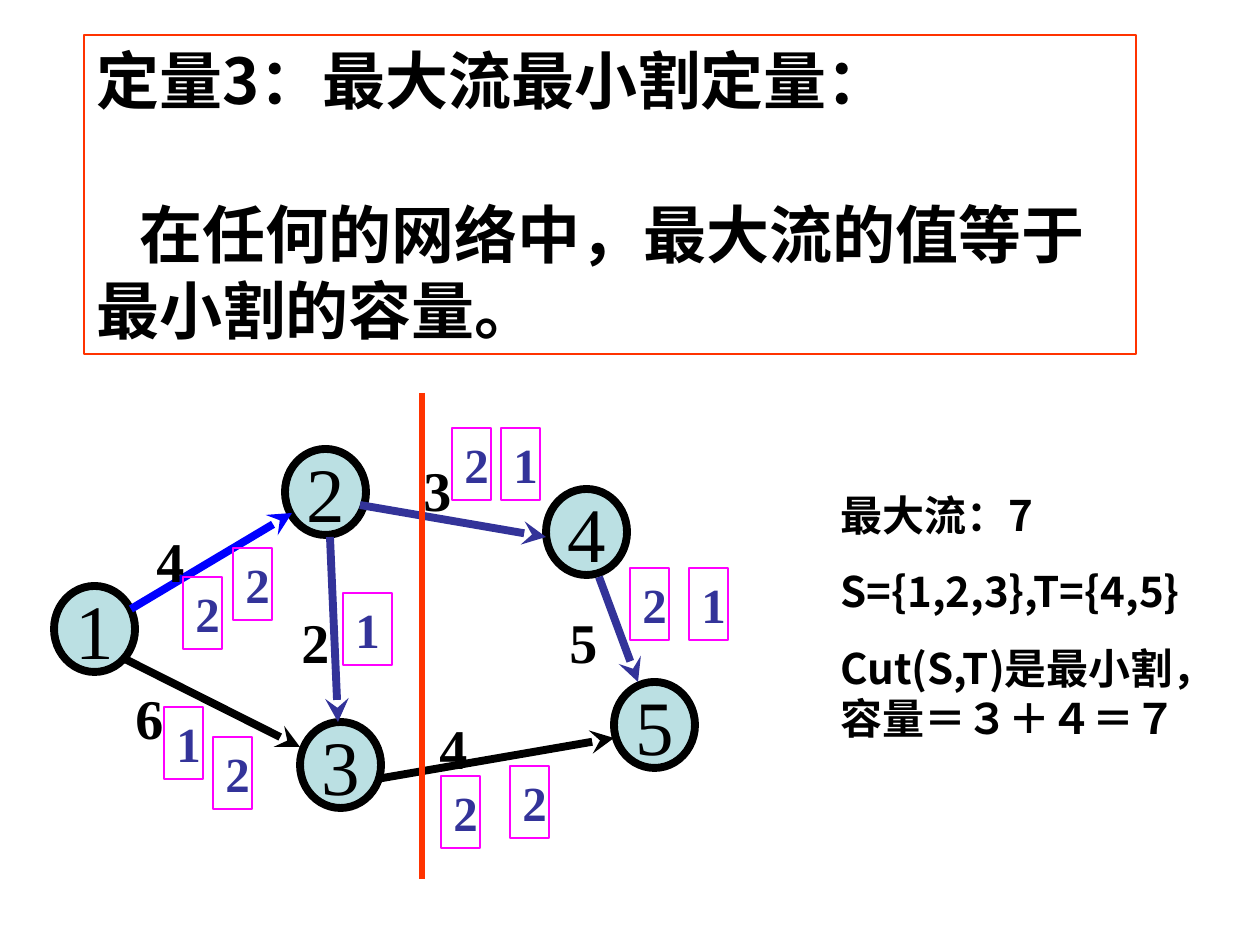
from dataclasses import dataclass
from typing import NamedTuple

from lxml import etree
from pptx import Presentation
from pptx import util as u
from pptx.dml import color
from pptx.enum import shapes, text
from pptx.oxml import ns

EMU_PER_PX = 914400 / 126


@dataclass(frozen=True)
class Theme:
    black: str = "000000"
    blue: str = "0000FF"
    indigo: str = "333399"
    magenta: str = "FF00FF"
    red: str = "FF3300"
    node_fill: str = "BBE0E3"
    serif: str = "Times New Roman"
    sans: str = "Noto Sans CJK SC"
    title_size: int = 36
    node_size: int = 44
    weight_size: int = 32
    flow_size: int = 28
    note_size: int = 24
    thin: float = 0.75
    cut: float = 3
    thick: float = 4.5


THEME = Theme()


class Style(NamedTuple):
    font: str
    size: int
    color: str
    bold: bool = True
    before: float = 0


class Box(NamedTuple):
    left: int
    top: int
    width: int
    height: int


class Label(NamedTuple):
    words: str
    left: int
    top: int
    width: int


class Node(NamedTuple):
    name: str
    left: int
    top: int


class Edge(NamedTuple):
    start: tuple[int, int]
    end: tuple[int, int]
    color: str


TITLE_STYLE = Style(THEME.sans, THEME.title_size, THEME.black, before=45)
NOTE_STYLE = Style(THEME.sans, THEME.note_size, THEME.black, before=15)
NODE_STYLE = Style(THEME.serif, THEME.node_size, THEME.black, bold=False)
WEIGHT_STYLE = Style(THEME.serif, THEME.weight_size, THEME.black, before=20)
FLOW_STYLE = Style(THEME.serif, THEME.flow_size, THEME.indigo, before=17.5)

NODE_WIDTH, NODE_HEIGHT = 81, 86
WEIGHT_WIDTH, WEIGHT_HEIGHT = 46, 81
FLOW_WIDTH, FLOW_HEIGHT = 39, 72
TITLE_INDENT = 43

TITLE_BOX = Box(84, 35, 1052, 319)
TITLE = ["定量3：最大流最小割定量：", "在任何的网络中，最大流的值等于最小割的容量。"]
NOTE_BOX = Box(828, 483, 422, 267)
NOTES = ["最大流：7", "S={1,2,3},T={4,5}", "Cut(S,T)是最小割，容量＝３＋４＝７"]

NODES = [
    Node("1", 54, 586),
    Node("2", 285, 449),
    Node("4", 546, 489),
    Node("3", 300, 722),
    Node("5", 614, 682),
]
BACK_EDGE = Edge((377, 779), (614, 738), THEME.black)
FRONT_EDGES = [
    Edge((131, 609), (292, 513), THEME.blue),
    Edge((123, 658), (300, 747), THEME.black),
    Edge((360, 505), (546, 537), THEME.indigo),
    Edge((599, 577), (638, 682), THEME.indigo),
    Edge((330, 537), (338, 722), THEME.indigo),
]
CUT = Edge((422, 393), (422, 879), THEME.red)

WEIGHTS = [
    Label(words, left, top, WEIGHT_WIDTH)
    for words, left, top in [
        ("6", 123, 677), ("4", 144, 520), ("2", 289, 601),
        ("3", 411, 449), ("4", 427, 707), ("5", 557, 601),
    ]
]
FLOWS = [Label("1", 343, 593, 49)] + [
    Label(words, left, top, FLOW_WIDTH)
    for words, left, top in [
        ("2", 183, 577), ("2", 233, 548), ("2", 452, 428), ("1", 501, 428),
        ("2", 630, 568), ("1", 689, 568), ("1", 164, 707), ("2", 213, 737),
        ("2", 441, 776), ("2", 510, 766),
    ]
]


def px(length: int) -> u.Emu:
    return u.Emu(round(length * EMU_PER_PX))


def rgb(code: str) -> color.RGBColor:
    return color.RGBColor.from_string(code)


def write(shape, paragraphs: list[str], style: Style) -> None:
    frame = shape.text_frame
    frame.word_wrap = True
    frame.auto_size = text.MSO_AUTO_SIZE.SHAPE_TO_FIT_TEXT
    frame.vertical_anchor = text.MSO_ANCHOR.TOP
    for index, words in enumerate(paragraphs):
        para = frame.add_paragraph() if index else frame.paragraphs[0]
        para.alignment = text.PP_ALIGN.LEFT
        para.space_before = u.Pt(style.before)
        span = para.add_run()
        span.text = words
        span.font.name = style.font
        span.font.size = u.Pt(style.size)
        span.font.bold = style.bold
        span.font.color.rgb = rgb(style.color)
        etree.SubElement(span.font._element, ns.qn("a:ea"), typeface=style.font)


def draw_frame(page, box: Box, paragraphs: list[str], style: Style, outline: str):
    shape = page.shapes.add_shape(shapes.MSO_SHAPE.RECTANGLE, *map(px, box))
    shape.shadow.inherit = False
    shape.fill.background()
    shape.line.color.rgb = rgb(outline)
    shape.line.width = u.Pt(THEME.thin)
    write(shape, paragraphs, style)
    return shape


def draw_text(page, box: Box, paragraphs: list[str], style: Style) -> None:
    write(page.shapes.add_textbox(*map(px, box)), paragraphs, style)


def draw_node(page, node: Node) -> None:
    box = Box(node.left, node.top, NODE_WIDTH, NODE_HEIGHT)
    shape = page.shapes.add_shape(shapes.MSO_SHAPE.OVAL, *map(px, box))
    shape.shadow.inherit = False
    shape.fill.solid()
    shape.fill.fore_color.rgb = rgb(THEME.node_fill)
    shape.line.color.rgb = rgb(THEME.black)
    shape.line.width = u.Pt(THEME.thick)
    write(shape, [node.name], NODE_STYLE)
    frame = shape.text_frame
    frame.word_wrap = False
    frame.auto_size = text.MSO_AUTO_SIZE.NONE
    frame.vertical_anchor = text.MSO_ANCHOR.MIDDLE
    frame.paragraphs[0].alignment = text.PP_ALIGN.CENTER


def draw_line(page, edge: Edge, width: float, arrow: bool) -> None:
    line = page.shapes.add_connector(
        shapes.MSO_CONNECTOR.STRAIGHT, *map(px, edge.start + edge.end)
    )
    line.line.color.rgb = rgb(edge.color)
    line.line.width = u.Pt(width)
    properties = line._element.spPr
    if arrow:
        outline = properties.find(ns.qn("a:ln"))
        etree.SubElement(outline, ns.qn("a:tailEnd"), type="stealth")
    etree.SubElement(properties, ns.qn("a:effectLst"))


def main() -> None:
    deck = Presentation()
    deck.slide_width, deck.slide_height = px(1260), px(945)
    page = deck.slides.add_slide(deck.slide_layouts[6])

    title = draw_frame(page, TITLE_BOX, TITLE, TITLE_STYLE, THEME.red)
    statement = title.text_frame.paragraphs[1]._p.get_or_add_pPr()
    statement.set("indent", str(px(TITLE_INDENT)))

    draw_line(page, BACK_EDGE, THEME.thick, arrow=True)
    for node in NODES:
        draw_node(page, node)
    for edge in FRONT_EDGES:
        draw_line(page, edge, THEME.thick, arrow=True)
    for words, left, top, width in WEIGHTS:
        draw_text(page, Box(left, top, width, WEIGHT_HEIGHT), [words], WEIGHT_STYLE)
    for words, left, top, width in FLOWS:
        box = Box(left, top, width, FLOW_HEIGHT)
        draw_frame(page, box, [words], FLOW_STYLE, THEME.magenta)
    draw_text(page, NOTE_BOX, NOTES, NOTE_STYLE)
    draw_line(page, CUT, THEME.cut, arrow=False)
    deck.save("out.pptx")


if __name__ == "__main__":
    main()
